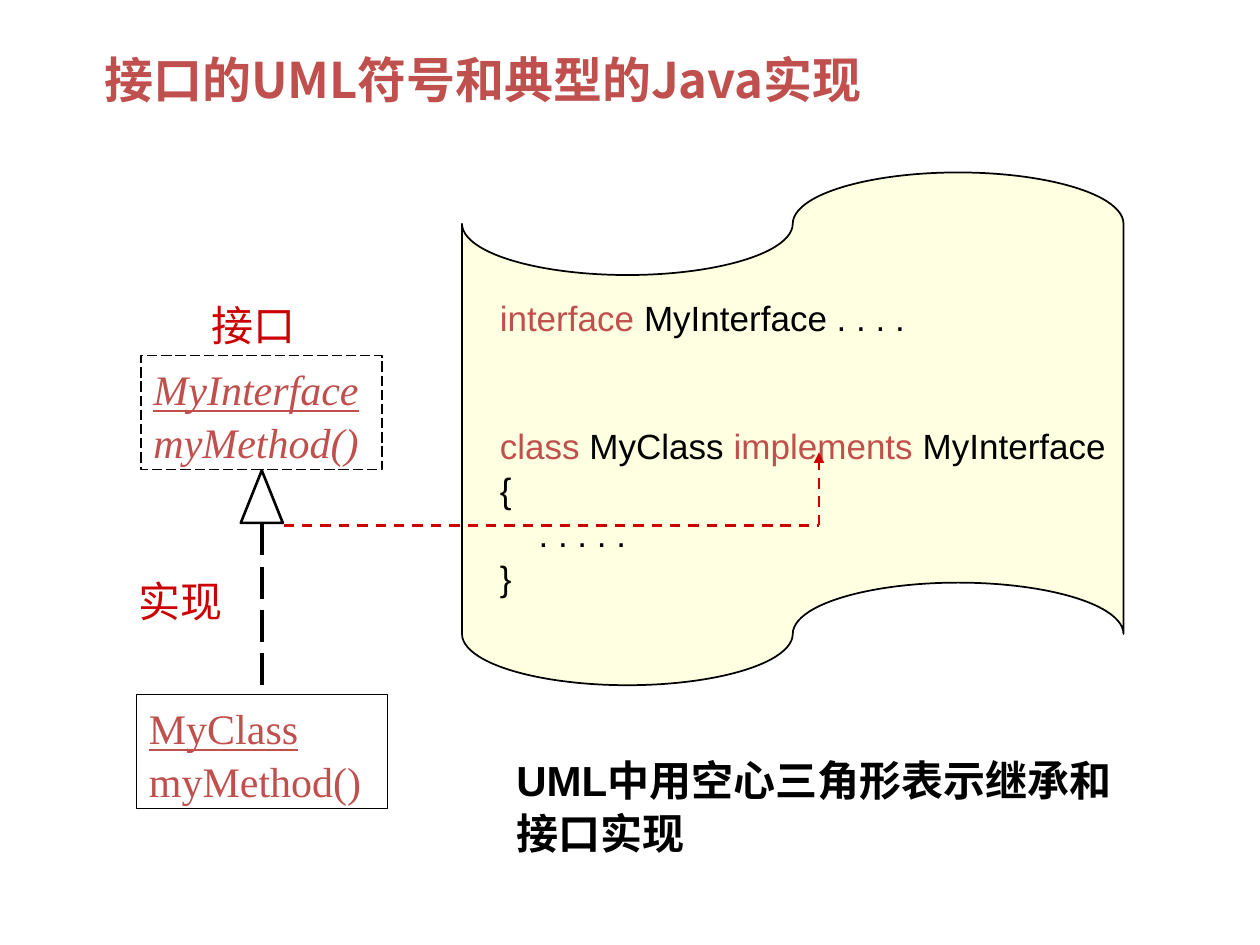
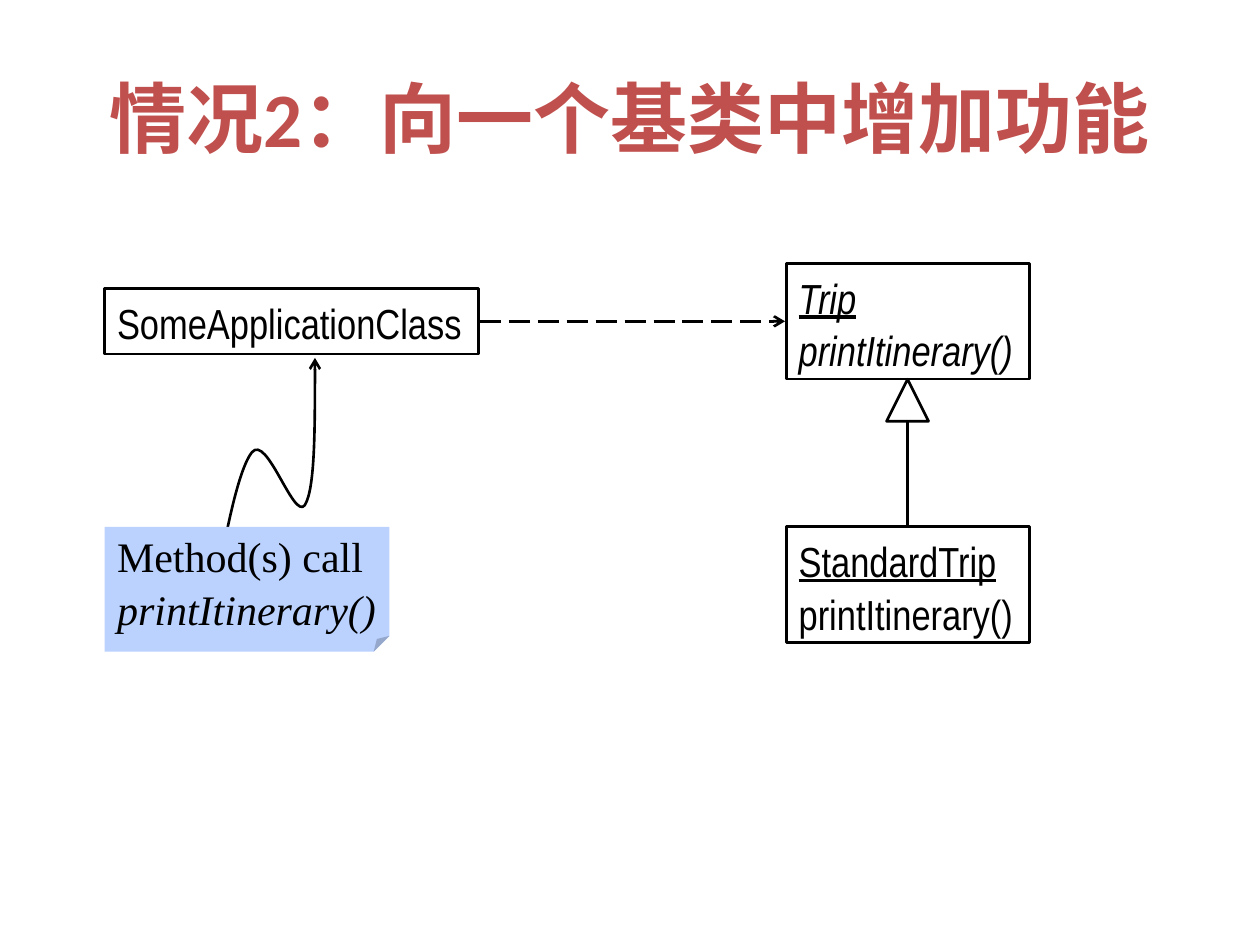
from lxml import etree
from pptx import Presentation
from pptx.dml.color import RGBColor
from pptx.enum.dml import MSO_LINE
from pptx.enum.shapes import MSO_CONNECTOR, MSO_SHAPE
from pptx.enum.text import MSO_ANCHOR, PP_ALIGN
from pptx.oxml.ns import qn
from pptx.util import Pt

RECT = MSO_SHAPE.RECTANGLE
TRIANGLE = MSO_SHAPE.ISOSCELES_TRIANGLE
TAPE = MSO_SHAPE.FLOWCHART_PUNCHED_TAPE
NOTE = MSO_SHAPE.FOLDED_CORNER
STRAIGHT = MSO_CONNECTOR.STRAIGHT
DASH, LONG_DASH = MSO_LINE.DASH, MSO_LINE.LONG_DASH
TOP, MIDDLE = MSO_ANCHOR.TOP, MSO_ANCHOR.MIDDLE
LEFT, CENTER = PP_ALIGN.LEFT, PP_ALIGN.CENTER

COLORS = {
    "black": "000000", "white": "FFFFFF", "accent": "C0504D",
    "label": "CC0000", "paper": "FFFFE1", "note": "BBD2FF",
}
COLORS = {name: RGBColor.from_string(code) for name, code in COLORS.items()}


def add_box(slide, kind, box, paragraphs=(), font="Arial", size=24, color="black",
            fill=None, line=None, dash=None, anchor=TOP, align=LEFT, insets=(7.2, 3.6)):
    """Add a shape; each paragraph is a list of (text, style letters b/i/u, colour or None)."""
    shape = slide.shapes.add_shape(kind, *map(Pt, box))
    shape.shadow.inherit = False
    if fill:
        shape.fill.solid()
        shape.fill.fore_color.rgb = COLORS[fill]
    else:
        shape.fill.background()
    if line:
        shape.line.color.rgb = COLORS["black"]
        shape.line.width = Pt(line)
        shape.line.dash_style = dash
    else:
        shape.line.fill.background()
    frame = shape.text_frame
    frame.word_wrap = True
    frame.vertical_anchor = anchor
    frame.margin_left, frame.margin_top = map(Pt, insets)
    frame.margin_right = 0 if align == LEFT else Pt(insets[0])
    for index, pieces in enumerate(paragraphs):
        paragraph = frame.add_paragraph() if index else frame.paragraphs[0]
        paragraph.alignment = align
        paragraph.line_spacing = 1.05
        for text, style, run_color in pieces:
            run = paragraph.add_run()
            run.text = text
            run.font.name = font
            run.font.size = Pt(size)
            run.font.color.rgb = COLORS[run_color or color]
            run.font.bold = "b" in style
            run.font.italic = "i" in style
            run.font.underline = "u" in style
            east_asian = etree.SubElement(run.font._element, qn("a:ea"))
            east_asian.set("typeface", font)
    return shape


def style_line(shape, color="black", width=1.5, dash=None, arrow=None):
    shape.line.color.rgb = COLORS[color]
    shape.line.width = Pt(width)
    shape.line.dash_style = dash
    properties = shape._element.spPr
    if arrow:
        etree.SubElement(properties.find(qn("a:ln")), qn("a:tailEnd"), type=arrow)
    if properties.find(qn("a:effectLst")) is None:
        etree.SubElement(properties, qn("a:effectLst"))


prs = Presentation()
prs.slide_width, prs.slide_height = Pt(720), Pt(540)

titles = [
    ("接口的UML符号和典型的Java实现", (36, 0, 480, 90), "Noto Sans CJK SC", 28),
    ("情况2：向一个基类中增加功能", (36, 21.6, 648, 90), "Calibri", 44),
]
slides = []
for title, box, font, size in titles:
    slide = prs.slides.add_slide(prs.slide_layouts[6])
    title_box = add_box(slide, RECT, box, [[(title, "b", None)]], font, size, "accent",
                        anchor=MIDDLE, align=CENTER)
    title_box.text_frame.paragraphs[0].line_spacing = 1.0
    slides.append(slide)
interface_slide, trip_slide = slides

# Interface notation and its Java code
add_box(interface_slide, RECT, (113.8, 166.3, 64, 36), [[("接口", "", None)]],
        "Calibri", color="label", fill="white")

code = [
    [("interface", "", "accent"), (" MyInterface . . . .", "", None)],
    [("class", "", "accent"), (" MyClass ", "", None),
     ("implements", "", "accent"), (" MyInterface", "", None)],
    [("{", "", None)],
    [("    . . . . .", "", None)],
    [("}", "", None)],
]
code_tape = add_box(interface_slide, TAPE, (264, 98.6, 378, 293), code, size=20,
                    fill="paper", line=1, insets=(21.6, 10.8))
code_tape.text_frame.paragraphs[1].space_before = Pt(48)

realization = interface_slide.shapes.add_connector(
    STRAIGHT, Pt(149.8), Pt(299.5), Pt(149.8), Pt(396.7))
style_line(realization, width=2.25, dash=LONG_DASH)
add_box(interface_slide, RECT, (78, 396.7, 143.3, 65.5),
        [[("MyClass", "u", None)], [("myMethod()", "", None)]],
        "Times New Roman", color="accent", line=0.75)
add_box(interface_slide, TRIANGLE, (137.6, 268.8, 24, 30), fill="white", line=1.5)
add_box(interface_slide, RECT, (72, 324, 62.6, 36), [[("实现", "", None)]],
        "Montserrat", color="label", fill="white")
add_box(interface_slide, RECT, (80.6, 203, 137.8, 65.5),
        [[("MyInterface", "iu", None)], [("myMethod()", "i", None)]],
        "Times New Roman", color="accent", fill="white", line=0.75, dash=LONG_DASH)

for start, end, arrow in [((162, 300.2), (468, 300.2), None),
                          ((468, 300.2), (468, 258.5), "triangle")]:
    pointer = interface_slide.shapes.add_connector(STRAIGHT, *map(Pt, start + end))
    style_line(pointer, "label", dash=DASH, arrow=arrow)

add_box(interface_slide, RECT, (288, 426.2, 366, 65),
        [[("UML中用空心三角形表示继承和接口实现", "b", None)]])

# Adding a function to a base class
class_boxes = [
    ((449.3, 150.5, 139, 66.2), [("Trip", "iu"), ("printItinerary()", "i")]),
    ((449.3, 301, 139, 66.2), [("StandardTrip", "u"), ("printItinerary()", "")]),
    ((59.8, 164.9, 213.8, 37.4), [("SomeApplicationClass", "")]),
]
for box, members in class_boxes:
    add_box(trip_slide, RECT, box, [[(text, style, None)] for text, style in members],
            "Arial Narrow", line=1.5)

dependency = trip_slide.shapes.add_connector(
    STRAIGHT, Pt(274.3), Pt(183.6), Pt(448.6), Pt(183.6))
style_line(dependency, dash=LONG_DASH, arrow="arrow")
add_box(trip_slide, TRIANGLE, (506.6, 216.7, 24, 24), line=1.5)
inheritance = trip_slide.shapes.add_connector(
    STRAIGHT, Pt(518.6), Pt(241), Pt(518.6), Pt(300))
style_line(inheritance)

# Start point, then three points for each cubic curve
call_points = [(120.2, 355), (127.4, 312.5), (135.4, 269.3), (144, 258.5),
               (152.6, 247.7), (167.8, 297.4), (174.2, 288.7),
               (180, 279.4), (180, 241.9), (180, 204.5)]
builder = trip_slide.shapes.build_freeform(*map(Pt, call_points[0]))
builder.add_line_segments([(Pt(x), Pt(y)) for x, y in call_points[1:]], close=False)
call_arrow = builder.convert_to_shape()
call_arrow.fill.background()
curve_path = next(call_arrow._element.iter(qn("a:path")))
segments = curve_path.findall(qn("a:lnTo"))
for first in range(0, len(segments), 3):
    curve = etree.SubElement(curve_path, qn("a:cubicBezTo"))
    for segment in segments[first:first + 3]:
        curve.append(segment.find(qn("a:pt")))
        curve_path.remove(segment)
style_line(call_arrow, arrow="arrow")

call_note = add_box(trip_slide, NOTE, (59.8, 301, 162.7, 71.3),
                    [[("Method(s) call", "", None)], [("printItinerary()", "i", None)]],
                    "Times New Roman", fill="note", anchor=MIDDLE)
fold_guides = next(call_note._element.iter(qn("a:avLst")))
etree.SubElement(fold_guides, qn("a:gd"), name="adj", fmla="val 12500")

prs.save("out.pptx")
